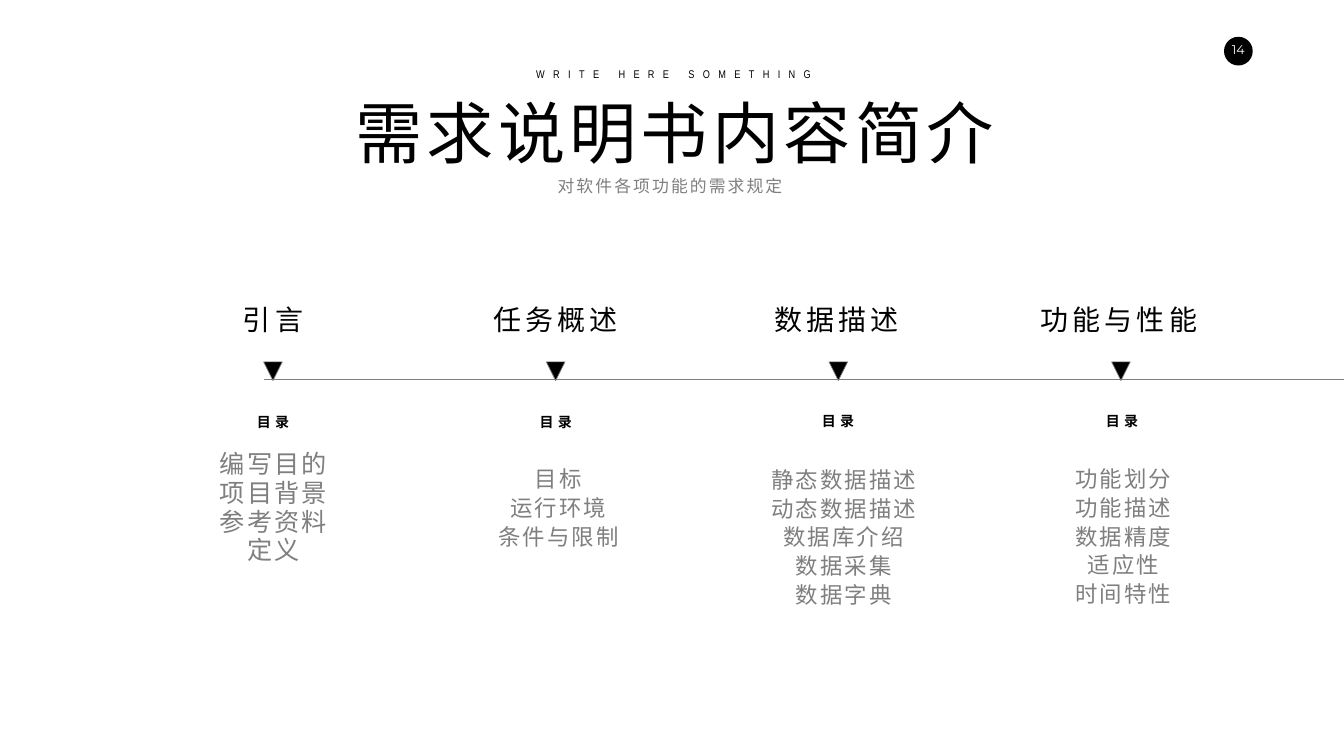
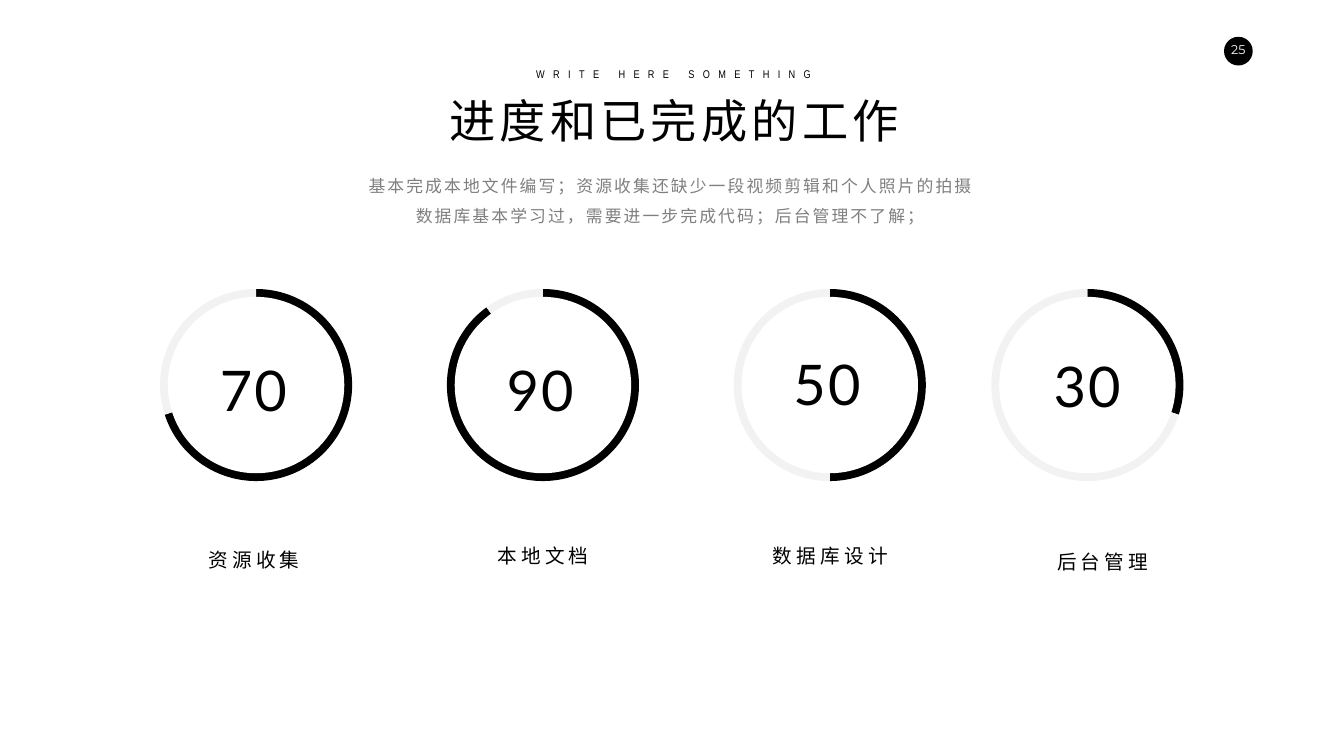
from dataclasses import dataclass

from lxml import etree
from pptx import Presentation
from pptx.chart.data import CategoryChartData
from pptx.dml.color import RGBColor
from pptx.enum.chart import XL_CHART_TYPE
from pptx.enum.shapes import MSO_CONNECTOR, MSO_SHAPE
from pptx.enum.text import MSO_ANCHOR, MSO_AUTO_SIZE, PP_ALIGN
from pptx.oxml.ns import qn
from pptx.util import Pt

PIE = XL_CHART_TYPE.PIE
STRAIGHT = MSO_CONNECTOR.STRAIGHT
ELLIPSE = MSO_SHAPE.OVAL
TRIANGLE = MSO_SHAPE.ISOSCELES_TRIANGLE
TOP = MSO_ANCHOR.TOP
GROW = MSO_AUTO_SIZE.SHAPE_TO_FIT_TEXT
CENTER = PP_ALIGN.CENTER

BLACK, GREY, PALE, WHITE = "000000", "7F7F7F", "F2F2F2", "FFFFFF"
HEADING_FONT, BODY_FONT, LABEL_FONT = "Arial Narrow", "Lato", "Montserrat"
SLIDE_WIDTH, SLIDE_HEIGHT = 1919.52, 1080

# Timeline geometry
FIRST_MARKER, MARKER_PITCH, MARKER_SIZE = 376.56, 403.68, 26.64
MARKER_TOP, TIMELINE_Y = 516.96, 542.16

# Ring geometry
CHART_TOP, CHART_WIDTH, CHART_HEIGHT = 402.48, 357.12, 295.2
RING_DIAMETER, HOLE_DIAMETER = 274.4, 252


@dataclass
class Box:
    left: float
    top: float
    width: float
    height: float

    def lengths(self) -> tuple:
        return Pt(self.left), Pt(self.top), Pt(self.width), Pt(self.height)


@dataclass
class Chapter:
    heading: str
    heading_center: float
    label_center: float
    label_top: float
    topics: list[str]
    topics_left: float
    topics_top: float
    topics_size: float = 32


@dataclass
class Progress:
    caption: str
    percent: int
    chart_left: float
    number_left: float
    number_top: float
    caption_left: float
    caption_top: float


CHAPTERS = [
    Chapter("引言", 389.88, 389.88, 587.52,
            ["编写目的", "项目背景", "参考资料", "定义"], 234, 639.36, 36),
    Chapter("任务概述", 793.44, 793.8, 587.52,
            ["目标", "运行环境", "条件与限制"], 640.8, 658.8),
    Chapter("数据描述", 1194.48, 1197, 585.36,
            ["静态数据描述", "动态数据描述", "数据库介绍", "数据采集", "数据字典"],
            1048.32, 659.52),
    Chapter("功能与性能", 1598.04, 1602.36, 585.36,
            ["功能划分", "功能描述", "数据精度", "适应性", "时间特性"],
            1447.92, 658.8),
]

PROGRESS = [
    Progress("资源收集", 70, 187.2, 249.84, 504.72, 146.16, 761.76),
    Progress("本地文档", 90, 596.88, 659.52, 504.72, 558.72, 756.72),
    Progress("数据库设计", 50, 1006.56, 1069.2, 496.08, 969.12, 756.72),
    Progress("后台管理", 30, 1374.48, 1440.72, 498.24, 1357.92, 765.36),
]


def color(value: str) -> RGBColor:
    return RGBColor.from_string(value)


def write_text(shape, lines: list[str], *, size: float, font: str = HEADING_FONT,
               fill: str = BLACK, bold: bool = False, tracking: float = 0,
               line_spacing=None, wrap: bool = True) -> None:
    frame = shape.text_frame
    frame.word_wrap = wrap
    frame.auto_size = GROW
    frame.vertical_anchor = TOP
    for index, line in enumerate(lines):
        paragraph = frame.add_paragraph() if index else frame.paragraphs[0]
        paragraph.alignment = CENTER
        if line_spacing:
            paragraph.line_spacing = line_spacing
        run = paragraph.add_run()
        run.text = line
        run.font.size = Pt(size)
        run.font.name = font
        run.font.bold = bold
        run.font.color.rgb = color(fill)
        if tracking:
            run.font._element.set("spc", str(round(tracking * 100)))


def add_text(slide, box: Box, lines: list[str], **text_format):
    shape = slide.shapes.add_textbox(*box.lengths())
    write_text(shape, lines, **text_format)
    return shape


def add_filled_shape(slide, kind, box: Box, fill: str, outline: str = ""):
    shape = slide.shapes.add_shape(kind, *box.lengths())
    shape.shadow.inherit = False
    shape.fill.solid()
    shape.fill.fore_color.rgb = color(fill)
    if outline:
        shape.line.color.rgb = color(outline)
        shape.line.width = Pt(1)
    else:
        shape.line.fill.background()
    return shape


def add_line(slide, left: float, right: float, y: float) -> None:
    line = slide.shapes.add_connector(STRAIGHT, Pt(left), Pt(y), Pt(right), Pt(y))
    line.line.color.rgb = color(GREY)
    line.line.width = Pt(0.5)
    etree.SubElement(line._element.spPr, qn("a:effectLst"))


def start_slide(presentation, title: str, title_box: Box, title_size: float,
                summary: list[str], number: int):
    """Add a slide with page badge, kicker, title and summary."""
    slide = presentation.slides.add_slide(presentation.slide_layouts[5])
    heading = slide.shapes.title
    heading.left, heading.top, heading.width, heading.height = title_box.lengths()
    write_text(heading, [title], size=title_size, tracking=6)
    add_text(slide, Box(663.84, 92.16, 596.88, 26.64), ["WRITE HERE SOMETHING"],
             size=16, tracking=12)
    add_text(slide, Box(362.16, 233.28, 1189.44, 8 + 43.2 * len(summary)), summary,
             size=24, font=BODY_FONT, fill=GREY, tracking=3, line_spacing=1.5)
    add_filled_shape(slide, ELLIPSE, Box(1748.16, 52.56, 41.04, 41.04), BLACK)
    badge = add_text(slide, Box(1737.72, 52.56, 61.92, 36), [str(number)],
                     size=18, font=LABEL_FONT, fill=WHITE, wrap=False)
    badge.text_frame.margin_top = badge.text_frame.margin_bottom = Pt(7.2)
    return slide


def add_chapter(slide, chapter: Chapter, marker_left: float) -> None:
    marker = add_filled_shape(
        slide, TRIANGLE, Box(marker_left, MARKER_TOP, MARKER_SIZE, MARKER_SIZE),
        BLACK, GREY)
    marker.rotation = 180
    heading_width = 15 + 46 * len(chapter.heading)
    add_text(slide, Box(chapter.heading_center - heading_width / 2, 428.4,
                        heading_width, 55.44),
             [chapter.heading], size=40, tracking=6, wrap=False)
    add_text(slide, Box(chapter.label_center - 33.48, chapter.label_top, 66.96, 31.68),
             ["目录"], size=20, font=LABEL_FONT, bold=True, tracking=6, wrap=False)
    add_text(slide, Box(chapter.topics_left, chapter.topics_top, 313.2,
                        8 + 41 * len(chapter.topics)),
             chapter.topics, size=chapter.topics_size, font=BODY_FONT, fill=GREY,
             tracking=3, line_spacing=Pt(41))


def fix_plot_size(chart) -> None:
    """Centre the pie in its frame at the ring diameter."""
    plot_area = chart._chartSpace.find(".//" + qn("c:plotArea"))
    for old_layout in plot_area.findall(qn("c:layout")):
        plot_area.remove(old_layout)
    layout = etree.Element(qn("c:layout"))
    plot_area.insert(0, layout)
    manual = etree.SubElement(layout, qn("c:manualLayout"))
    width, height = RING_DIAMETER / CHART_WIDTH, RING_DIAMETER / CHART_HEIGHT
    settings = {"layoutTarget": "inner", "xMode": "edge", "yMode": "edge",
                "x": (1 - width) / 2, "y": (1 - height) / 2, "w": width, "h": height}
    for name, value in settings.items():
        etree.SubElement(manual, qn("c:" + name)).set("val", str(value))


def add_progress(slide, progress: Progress) -> None:
    chart_data = CategoryChartData()
    chart_data.categories = ["1", "2"]
    chart_data.add_series("Series 1", [progress.percent, 100 - progress.percent])
    chart_box = Box(progress.chart_left, CHART_TOP, CHART_WIDTH, CHART_HEIGHT)
    chart = slide.shapes.add_chart(PIE, *chart_box.lengths(), chart_data).chart
    chart.has_legend = False
    chart.has_title = False
    chart.font.size = Pt(10)
    chart.font.name = BODY_FONT
    chart.font.color.rgb = color(GREY)
    plot = chart.plots[0]
    plot.vary_by_categories = True
    for index, fill in enumerate((BLACK, PALE)):
        point_format = plot.series[0].points[index].format
        point_format.fill.solid()
        point_format.fill.fore_color.rgb = color(fill)
        point_format.line.fill.background()
    fix_plot_size(chart)

    # White disc turns the pie into a ring
    add_filled_shape(slide, ELLIPSE,
                     Box(progress.chart_left + (CHART_WIDTH - HOLE_DIAMETER) / 2,
                         CHART_TOP + (CHART_HEIGHT - HOLE_DIAMETER) / 2,
                         HOLE_DIAMETER, HOLE_DIAMETER), WHITE)
    add_text(slide, Box(progress.number_left, progress.number_top, 223.92, 104.4),
             [str(progress.percent)], size=80, font=BODY_FONT, tracking=3)
    add_text(slide, Box(progress.caption_left, progress.caption_top, 433.44, 51.84),
             [progress.caption], size=28, tracking=6, line_spacing=1.5)


def build_contents_slide(presentation) -> None:
    slide = start_slide(presentation, "需求说明书内容简介",
                        Box(452.88, 126.72, 1021.68, 123.84), 96,
                        ["对软件各项功能的需求规定"], 14)
    add_line(slide, FIRST_MARKER, SLIDE_WIDTH, TIMELINE_Y)
    for index, chapter in enumerate(CHAPTERS):
        add_chapter(slide, chapter, FIRST_MARKER + index * MARKER_PITCH)


def build_progress_slide(presentation) -> None:
    slide = start_slide(presentation, "进度和已完成的工作",
                        Box(452.16, 128.16, 1021.68, 87.12), 66,
                        ["基本完成本地文件编写；资源收集还缺少一段视频剪辑和个人照片的拍摄",
                         "数据库基本学习过，需要进一步完成代码；后台管理不了解；"], 25)
    for progress in PROGRESS:
        add_progress(slide, progress)


def main() -> None:
    presentation = Presentation()
    presentation.slide_width = Pt(SLIDE_WIDTH)
    presentation.slide_height = Pt(SLIDE_HEIGHT)
    build_contents_slide(presentation)
    build_progress_slide(presentation)
    presentation.save("out.pptx")


if __name__ == "__main__":
    main()
